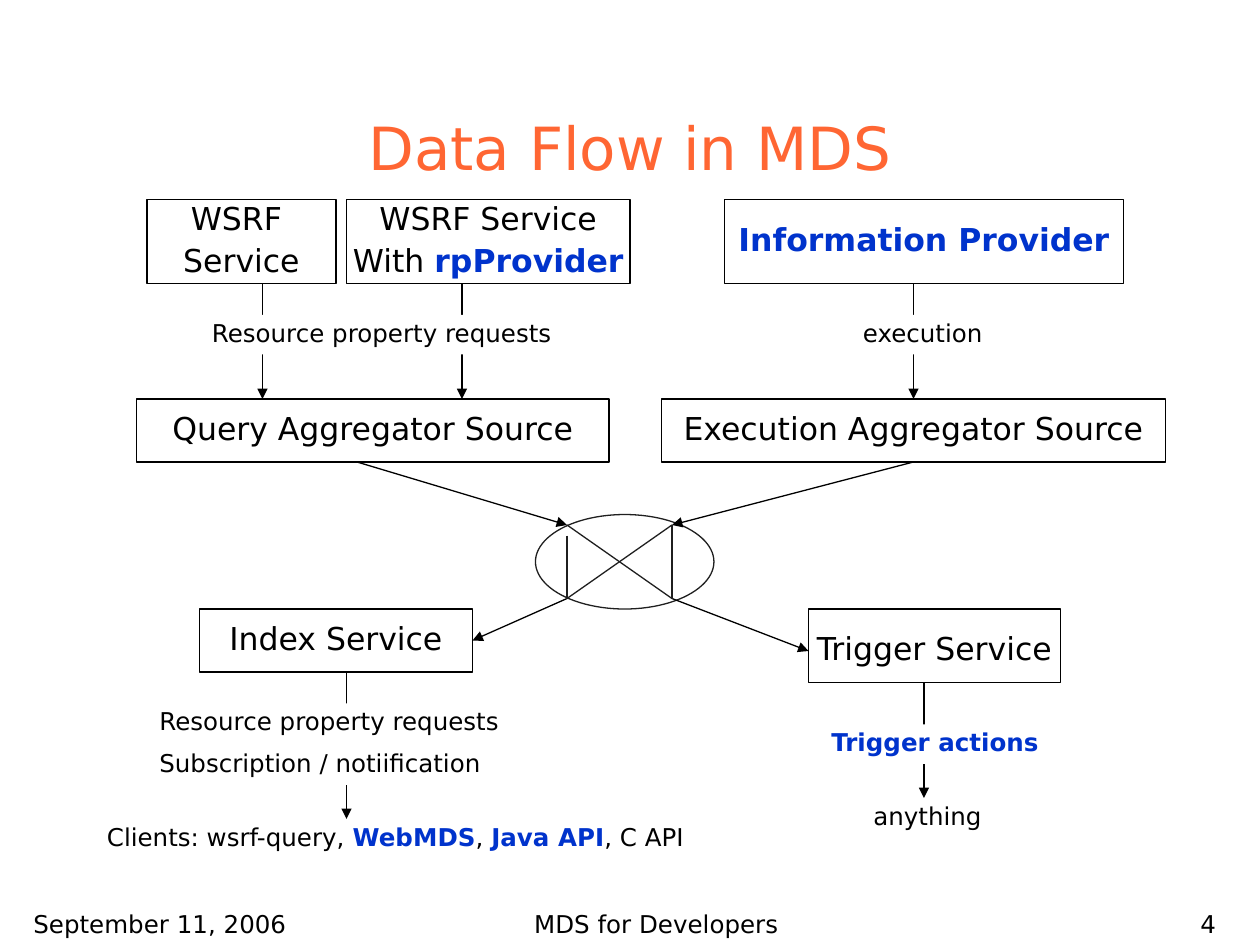
"""Build the slide showing how data flows through MDS."""
from dataclasses import dataclass
from typing import Optional

from lxml.etree import SubElement
from pptx import Presentation
from pptx.dml.color import RGBColor
from pptx.enum.shapes import MSO_CONNECTOR, MSO_SHAPE
from pptx.enum.text import MSO_ANCHOR as Anchor, PP_ALIGN as Align
from pptx.oxml.ns import qn
from pptx.util import Inches, Pt

COLORS = {"text": "000000", "title": "FF6633", "accent": "0033CC",
          "mesh": "1F1F1F", "paper": "FFFFFF"}
FONT = "DejaVu Sans"
COLUMNS, ROWS = 120, 90
WIDTH, HEIGHT = Inches(10), Inches(7.5)
LABEL_ROWS = 3.75


@dataclass(frozen=True)
class Area:
    left: float
    top: float
    width: float
    height: float


@dataclass(frozen=True)
class Style:
    size: int
    align: Align = Align.LEFT
    anchor: Anchor = Anchor.TOP
    color: str = "text"
    line_spacing: float = 1.0
    gap: float = 0
    wrap: bool = True


@dataclass(frozen=True)
class Caption:
    area: Area
    text: str
    style: Style
    fill: Optional[str] = None
    top_inset: float = 0.05


@dataclass(frozen=True)
class Flow:
    start: tuple[float, float]
    end: tuple[float, float]
    color: str = "text"
    arrow: bool = True


TITLE = Style(34, Align.CENTER, Anchor.BOTTOM, "title")
NODE = Style(18, Align.CENTER, Anchor.MIDDLE, line_spacing=0.9, gap=4.5, wrap=False)
LABEL = Style(14, line_spacing=0.9, gap=8.8)

NODES = [
    Caption(Area(14, 19, 18, 8), "WSRF \nService", NODE),
    Caption(Area(33, 19, 27, 8), "WSRF Service\nWith *rpProvider*", NODE),
    Caption(Area(69, 19, 38, 8), "*Information Provider*", NODE),
    Caption(Area(13, 38, 45, 6), "Query Aggregator Source", NODE),
    Caption(Area(63, 38, 48, 6), "Execution Aggregator Source", NODE),
    Caption(Area(19, 58, 26, 6), "Index Service", NODE),
    Caption(Area(77, 58, 24, 7), "Trigger Service", NODE, top_inset=0.12),
]
LABELS = [
    Caption(Area(19, 30, 35, LABEL_ROWS), "Resource property requests", LABEL, "paper"),
    Caption(Area(81, 30, 14, LABEL_ROWS), "execution", LABEL, "paper"),
    Caption(Area(14, 67, 35, 7.75),
            "Resource property requests\nSubscription / notiification", LABEL, "paper"),
    Caption(Area(78, 69, 23, LABEL_ROWS), "*Trigger actions*", LABEL, "paper"),
    Caption(Area(9, 78, 63, LABEL_ROWS),
            "Clients: wsrf-query, *WebMDS*, *Java API*, C API", LABEL),
    Caption(Area(82, 76, 19, LABEL_ROWS), "anything", LABEL),
]
FRAME = [
    Caption(Area(9, 8, 102, 10), "Data Flow in MDS", TITLE),
    Caption(Area(2, 86, 32, 4), "September 11, 2006", Style(14)),
    Caption(Area(34, 86, 57, 4), "MDS for Developers", Style(14, Align.CENTER)),
    Caption(Area(92, 86, 25, 4), "4", Style(14, Align.RIGHT)),
]
LABELLED_FLOWS = [Flow((col, top), (col, bottom)) for col, top, bottom in
                  [(25, 27, 38), (44, 27, 38), (87, 27, 38), (33, 64, 78), (88, 65, 76)]]
CROSSING_FLOWS = [
    Flow((34, 44), (54, 50)), Flow((87, 44), (64, 50)),
    Flow((64, 57), (77, 62)), Flow((54, 57), (45, 61)),
]
EXCHANGE = Area(51, 49, 17, 9)
MESH = [Flow(start, end, "mesh", arrow=False) for start, end in
        [((64, 50), (54, 57)), ((64, 50), (64, 57)),
         ((64, 57), (54, 50)), ((54, 51), (54, 57))]]


def across(columns: float) -> int:
    """Convert grid columns to a length."""
    return round(WIDTH * columns / COLUMNS)


def down(rows: float) -> int:
    """Convert grid rows to a length."""
    return round(HEIGHT * rows / ROWS)


def place(area: Area) -> tuple[int, int, int, int]:
    """Convert a grid area to left, top, width and height."""
    return across(area.left), down(area.top), across(area.width), down(area.height)


def color(name: str) -> RGBColor:
    """Look up a colour by its role."""
    return RGBColor.from_string(COLORS[name])


def write(frame, caption: Caption) -> None:
    """Fill a text frame, with starred passages in bold accent colour."""
    style = caption.style
    frame.word_wrap = style.wrap
    frame.vertical_anchor = style.anchor
    frame.margin_left = frame.margin_right = Inches(0.1)
    frame.margin_top, frame.margin_bottom = Inches(caption.top_inset), Inches(0.05)
    for row, line in enumerate(caption.text.split("\n")):
        paragraph = frame.add_paragraph() if row else frame.paragraphs[0]
        paragraph.alignment = style.align
        paragraph.line_spacing = style.line_spacing
        paragraph.space_before = Pt(style.gap if row else 0)
        for index, passage in enumerate(line.split("*")):
            if passage:
                run = paragraph.add_run()
                run.text = passage
                run.font.name, run.font.size = FONT, Pt(style.size)
                run.font.bold = index % 2 == 1
                run.font.color.rgb = color("accent" if run.font.bold else style.color)


def draw_caption(slide, caption: Caption) -> None:
    """Draw text without an outline."""
    label = slide.shapes.add_textbox(*place(caption.area))
    if caption.fill:
        label.fill.solid()
        label.fill.fore_color.rgb = color(caption.fill)
    write(label.text_frame, caption)


def draw_outline(slide, kind: MSO_SHAPE, area: Area, line: str):
    """Draw an unfilled outlined shape."""
    outline = slide.shapes.add_shape(kind, *place(area))
    outline.shadow.inherit = False
    outline.fill.background()
    outline.line.color.rgb = color(line)
    outline.line.width = Pt(0.75)
    return outline


def draw_flow(slide, flow: Flow) -> None:
    """Draw a line, with an arrowhead at its end if it has one."""
    (x1, y1), (x2, y2) = flow.start, flow.end
    link = slide.shapes.add_connector(MSO_CONNECTOR.STRAIGHT, across(x1), down(y1),
                                      across(x2), down(y2))
    link.line.color.rgb = color(flow.color)
    link.line.width = Pt(0.75)
    if flow.arrow:
        SubElement(link.line._get_or_add_ln(), qn("a:tailEnd"), type="triangle")
    SubElement(link._element.spPr, qn("a:effectLst"))


def main() -> None:
    """Assemble and save the slide."""
    deck = Presentation()
    deck.slide_width, deck.slide_height = WIDTH, HEIGHT
    slide = deck.slides.add_slide(deck.slide_layouts[6])
    for flow in LABELLED_FLOWS:
        draw_flow(slide, flow)
    for node in NODES:
        write(draw_outline(slide, MSO_SHAPE.RECTANGLE, node.area, "text").text_frame, node)
    draw_outline(slide, MSO_SHAPE.OVAL, EXCHANGE, "mesh")
    for caption in LABELS + FRAME:
        draw_caption(slide, caption)
    for flow in CROSSING_FLOWS + MESH:
        draw_flow(slide, flow)
    deck.save("out.pptx")


if __name__ == "__main__":
    main()
